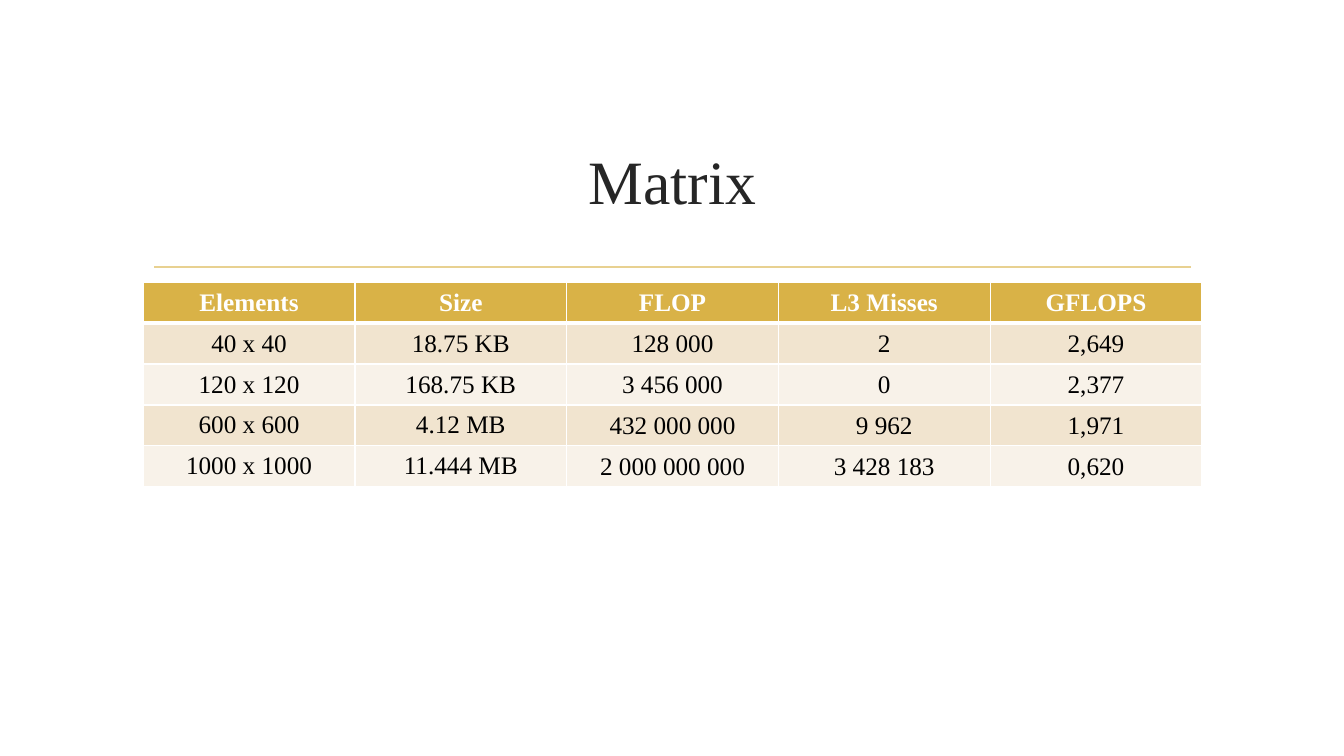
"""Build a slide with a table of matrix sizes and their measured performance."""
from dataclasses import dataclass

from lxml.etree import SubElement
from pptx import Presentation
from pptx.dml.color import RGBColor
from pptx.enum.shapes import MSO_CONNECTOR as Connector
from pptx.enum.text import MSO_ANCHOR as Anchor, PP_ALIGN as Align
from pptx.oxml.ns import qn
from pptx.util import Inches, Pt

FONT = "Times New Roman"
WHITE = "FFFFFF"
LEFT, WIDTH = 1.42, 10.5
TABLE_TOP, TABLE_HEIGHT = 2.8, 2.03
THIN, THICK = 1, 3
BAND_FILLS = ("F8F2E9", "F1E4CF")
TIGHT_MARGINS = {"margin_left": Inches(0.01), "margin_right": Inches(0.01),
                 "margin_top": Inches(0.01), "margin_bottom": 0}

ROWS = (
    ("Elements", "Size", "FLOP", "L3 Misses", "GFLOPS"),
    ("40 x 40", "18.75 KB", "128 000", "2", "2,649"),
    ("120 x 120", "168.75 KB", "3 456 000", "0", "2,377"),
    ("600 x 600", "4.12 MB", "432 000 000", "9 962", "1,971"),
    ("1000 x 1000", "11.444 MB", "2 000 000 000", "3 428 183", "0,620"),
)


@dataclass(frozen=True)
class CellStyle:
    fill: str
    color: str
    bold: bool
    top: int = THIN
    bottom: int = THIN
    tight: bool = False


def rgb(value: str) -> RGBColor:
    return RGBColor.from_string(value)


def set_attributes(target, values: dict) -> None:
    for name, value in values.items():
        setattr(target, name, value)


def write_text(frame, text: str, size: int, color: str, bold: bool) -> None:
    para = frame.paragraphs[0]
    para.alignment = Align.CENTER
    span = para.add_run()
    span.text = text
    set_attributes(span.font, {"name": FONT, "size": Pt(size), "bold": bold})
    span.font.color.rgb = rgb(color)


def add_borders(cell, style: CellStyle) -> None:
    properties = cell._tc.get_or_add_tcPr()
    widths = {"L": THIN, "R": THIN, "T": style.top, "B": style.bottom}
    for side, width in widths.items():
        line = SubElement(properties, qn(f"a:ln{side}"), w=str(Pt(width)))
        fill = SubElement(line, qn("a:solidFill"))
        SubElement(fill, qn("a:srgbClr"), val=WHITE)


def cell_style(row: int, column: int) -> CellStyle:
    if row == 0:
        return CellStyle("D9B247", WHITE, True, bottom=THICK)
    tight = column in (2, 4) or (column == 3 and row >= 3)
    top = THICK if row == 1 else THIN
    return CellStyle(BAND_FILLS[row % 2], "000000", False, top=top, tight=tight)


def format_cell(cell, text: str, style: CellStyle) -> None:
    add_borders(cell, style)
    cell.fill.solid()
    cell.fill.fore_color.rgb = rgb(style.fill)
    cell.vertical_anchor = Anchor.MIDDLE
    if style.tight:
        set_attributes(cell, TIGHT_MARGINS)
    write_text(cell.text_frame, text, 18, style.color, style.bold)


def add_title(page) -> None:
    title = page.shapes.title
    set_attributes(title, {"left": Inches(LEFT), "top": Inches(1.07),
                           "width": Inches(WIDTH), "height": Inches(1.43)})
    title.text_frame.vertical_anchor = Anchor.MIDDLE
    write_text(title.text_frame, "Matrix", 44, "262626", False)


def add_rule(page) -> None:
    rule = page.shapes.add_connector(Connector.STRAIGHT, Inches(1.53), Inches(2.65),
                                     Inches(11.81), Inches(2.65))
    rule.line.color.rgb = rgb("E8D191")
    rule.line.width = Pt(1.25)
    SubElement(rule._element.spPr, qn("a:effectLst"))


def add_results(page) -> None:
    table = page.shapes.add_table(len(ROWS), len(ROWS[0]), Inches(LEFT), Inches(TABLE_TOP),
                                  Inches(WIDTH), Inches(TABLE_HEIGHT)).table
    for row, texts in enumerate(ROWS):
        for column, text in enumerate(texts):
            format_cell(table.cell(row, column), text, cell_style(row, column))


def main() -> None:
    deck = Presentation()
    set_attributes(deck, {"slide_width": Inches(13.33), "slide_height": Inches(7.5)})
    page = deck.slides.add_slide(deck.slide_layouts.get_by_name("Title Only"))
    add_rule(page)
    add_title(page)
    add_results(page)
    deck.save("out.pptx")


if __name__ == "__main__":
    main()
